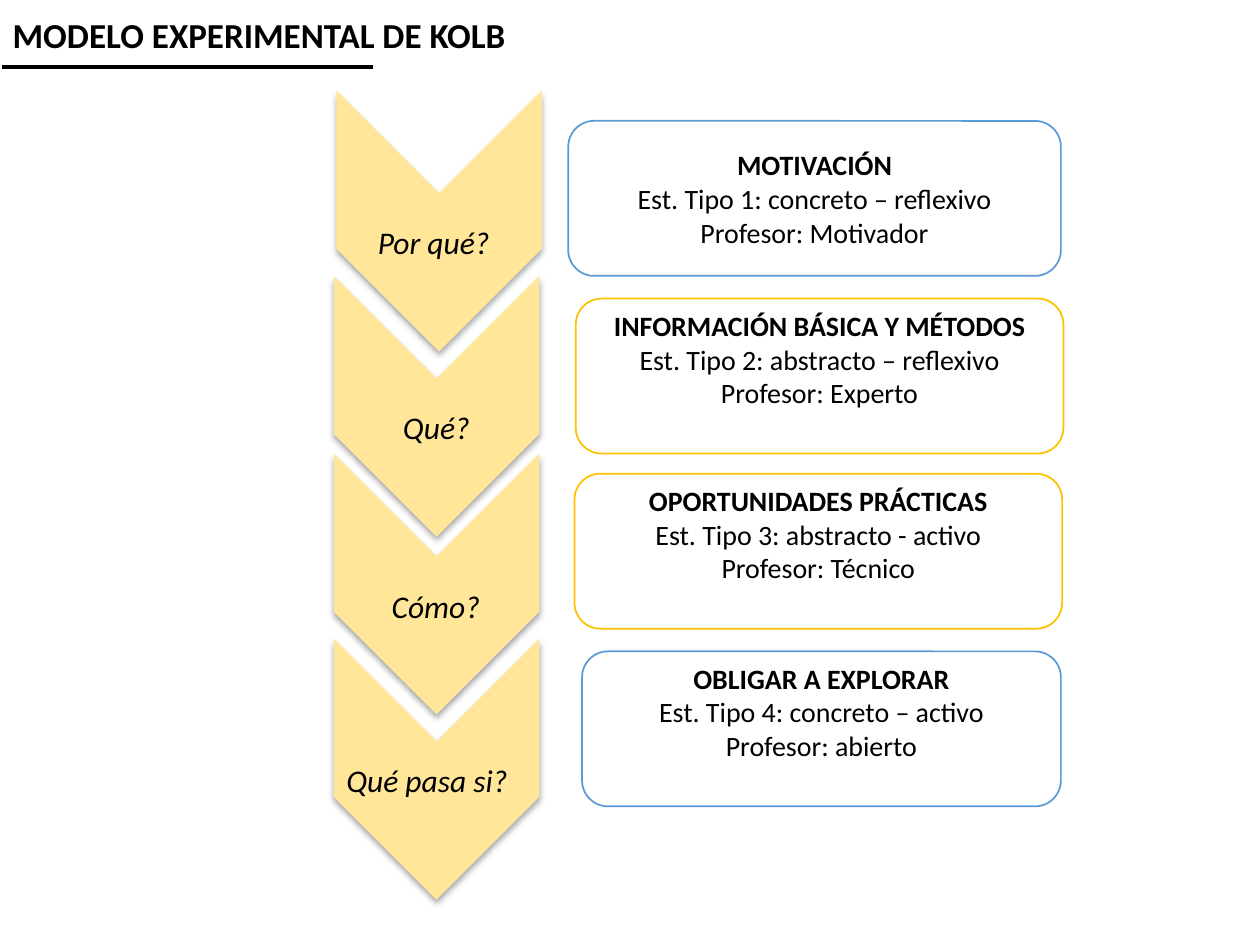
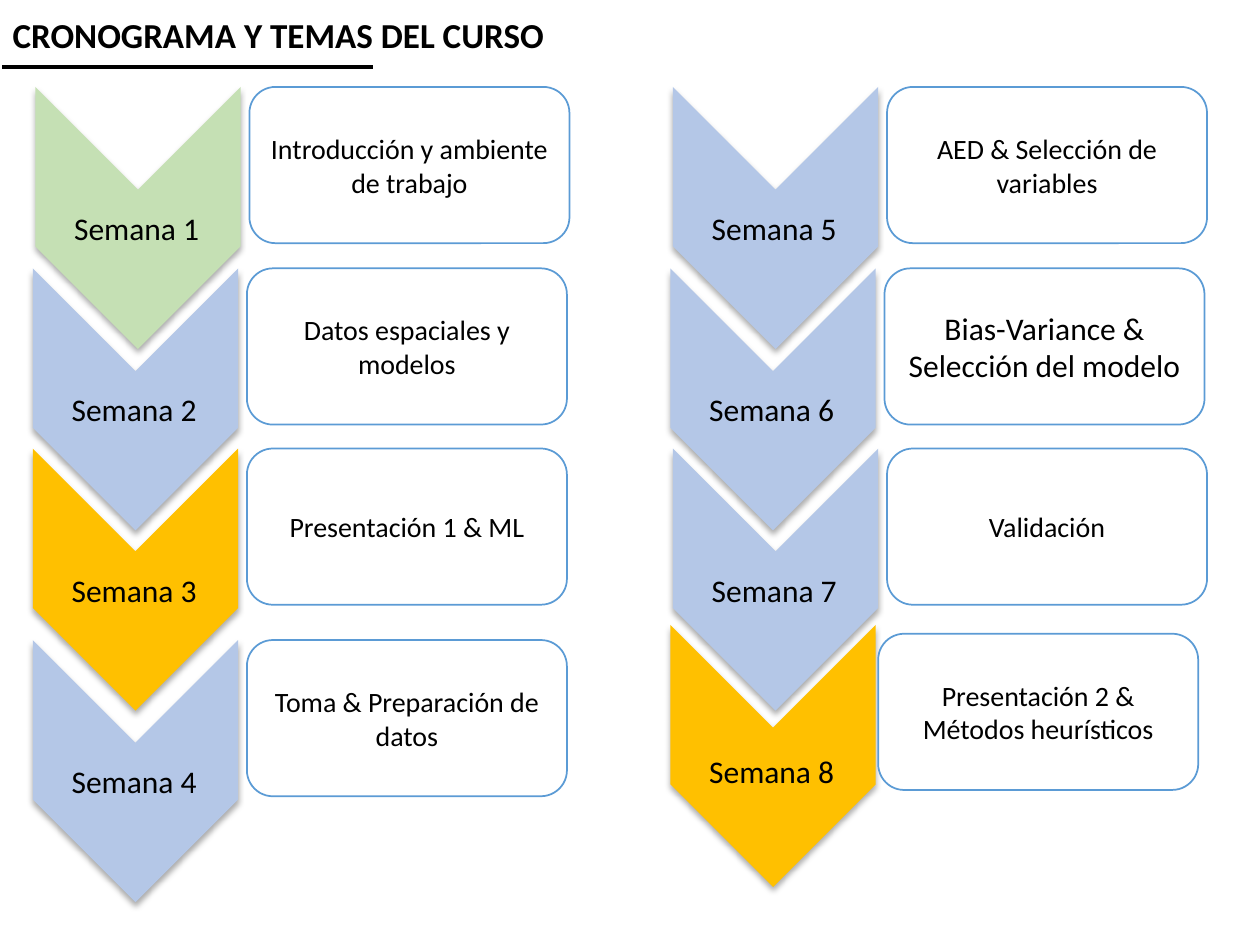
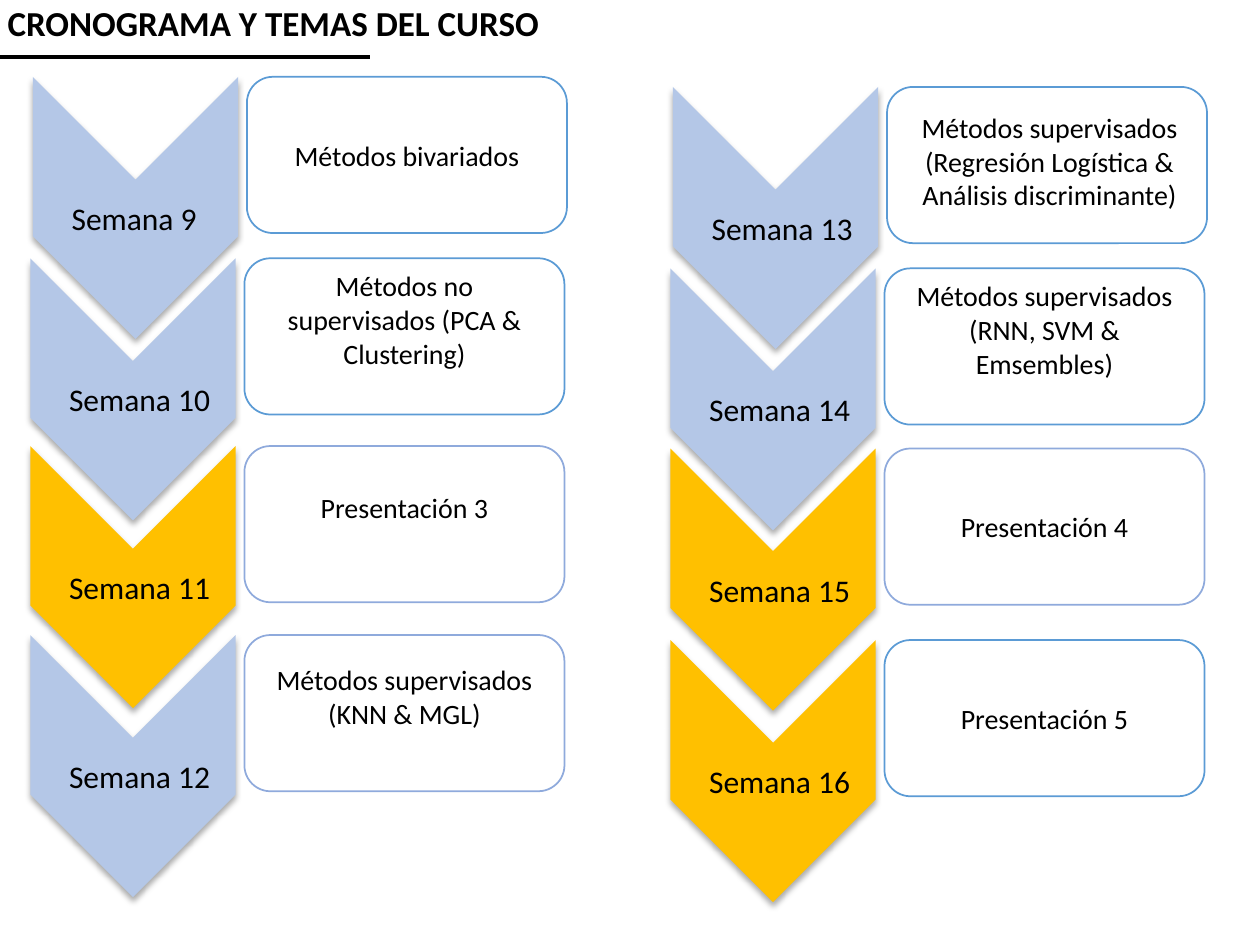
from dataclasses import dataclass

from lxml import etree
from pptx import Presentation
from pptx.dml.color import RGBColor
from pptx.enum.shapes import MSO_CONNECTOR, MSO_SHAPE
from pptx.enum.text import MSO_ANCHOR, MSO_AUTO_SIZE, PP_ALIGN
from pptx.oxml import parse_xml
from pptx.oxml.ns import qn
from pptx.util import Inches, Pt

COLORS = {
    "black": "000000",
    "white": "FFFFFF",
    "blue": "5B9BD5",
    "soft_blue": "8FAADC",
    "pale_blue": "B4C7E7",
    "green": "C5E0B4",
    "gold": "FFC000",
    "cream": "FFE699",
}
FONT = "Calibri"
CHEVRON_WIDTH = 1.63
STEP_CHEVRON_HEIGHT = 2.07
WEEK_CHEVRON_HEIGHT = 2.08
STEP_BOX_HEIGHT = 1.23
TOPIC_SIZE = (2.54, 1.24)
RAISED_INSET = 0.32  # bottom inset that lifts centred text by half a line

SHADOW = (
    '<a:outerShdw xmlns:a="http://schemas.openxmlformats.org/drawingml/2006/main"'
    ' blurRad="44450" dist="27940" dir="5400000" algn="ctr" rotWithShape="0">'
    '<a:srgbClr val="000000"><a:alpha val="32000"/></a:srgbClr></a:outerShdw>'
)


@dataclass
class Step:
    """One stage of the model; label_offset is measured from its chevron."""
    left: float
    top: float
    question: str
    label_offset: tuple
    label_width: float
    box: tuple  # left, top, width
    line: str
    lines: tuple
    raised: bool = True


@dataclass
class Week:
    """One week of the schedule; the shifts move parts off their usual place."""
    left: float
    top: float
    number: int
    topic: str
    fill: str = "pale_blue"
    line: str = "blue"
    size: int = 16
    raised: bool = False
    label_shift: float = 0
    topic_shift: tuple = (0, 0)


STEPS = [
    Step(2.67, 0.72, "Por qué?", (0.23, 1.0), 1.12, (4.51, 0.96, 3.91), "blue",
         ("MOTIVACIÓN", "Est. Tipo 1: concreto – reflexivo", "Profesor: Motivador"),
         raised=False),
    Step(2.65, 2.19, "Qué?", (0.45, 1.0), 0.74, (4.57, 2.37, 3.87), "gold",
         ("INFORMACIÓN BÁSICA Y MÉTODOS", "Est. Tipo 2: abstracto – reflexivo",
          "Profesor: Experto")),
    Step(2.65, 3.6, "Cómo?", (0.36, 1.01), 0.91, (4.56, 3.76, 3.87), "gold",
         ("OPORTUNIDADES PRÁCTICAS", "Est. Tipo 3: abstracto - activo",
          "Profesor: Técnico")),
    Step(2.65, 5.07, "Qué pasa si?", (0, 0.92), 1.5, (4.62, 5.17, 3.8), "blue",
         ("OBLIGAR A EXPLORAR", "Est. Tipo 4: concreto – activo", "Profesor: abierto")),
]

FIRST_HALF = [
    Week(0.28, 0.69, 1, "Introducción y ambiente de trabajo", "green"),
    Week(0.26, 2.13, 2, "Datos espaciales y modelos"),
    Week(0.26, 3.56, 3, "Presentación 1 & ML", "gold"),
    Week(0.26, 5.08, 4, "Toma & Preparación de datos"),
    Week(5.34, 0.69, 5, "AED & Selección de variables"),
    Week(5.32, 2.13, 6, "Bias-Variance & Selección del modelo", size=18),
    Week(5.34, 3.56, 7, "Validación"),
    Week(5.32, 4.96, 8, "Presentación 2 & Métodos heurísticos", "gold",
         label_shift=0.04, topic_shift=(-0.05, 0.07)),
]

SECOND_HALF = [
    Week(0.26, 0.61, 9, "Métodos bivariados"),
    Week(0.24, 2.05, 10, "Métodos no supervisados (PCA & Clustering)", raised=True),
    Week(0.24, 3.54, 11, "Presentación 3", "gold", "soft_blue", raised=True),
    Week(0.24, 5.04, 12, "Métodos supervisados (KNN & MGL)", line="soft_blue",
         raised=True),
    Week(5.34, 0.69, 13, ""),
    Week(5.32, 2.13, 14, "Métodos supervisados (RNN, SVM & Emsembles)", raised=True),
    Week(5.32, 3.56, 15, "Presentación 4", "gold", "soft_blue"),
    Week(5.32, 5.08, 16, "Presentación 5", "gold"),
]


def color(name):
    return RGBColor.from_string(COLORS[name])


def write_lines(frame, lines, size, align=PP_ALIGN.LEFT, bold_first=False, italic=False):
    for index, line in enumerate(lines):
        para = frame.paragraphs[0] if index == 0 else frame.add_paragraph()
        para.text = line
        para.alignment = align
        para.font.name = FONT
        para.font.size = Pt(size)
        para.font.bold = bold_first and index == 0
        para.font.italic = italic
        para.font.color.rgb = color("black")


def add_title(page, text, left, top, width, rule_left, rule_top):
    title = page.shapes.title
    title.left, title.top = Inches(left), Inches(top)
    title.width, title.height = Inches(width), Inches(0.44)
    frame = title.text_frame
    frame.word_wrap = False
    frame.auto_size = MSO_AUTO_SIZE.SHAPE_TO_FIT_TEXT
    frame.vertical_anchor = MSO_ANCHOR.TOP
    write_lines(frame, [text], 20, bold_first=True)

    rule = page.shapes.add_connector(
        MSO_CONNECTOR.STRAIGHT, Inches(rule_left), Inches(rule_top),
        Inches(rule_left + 2.94), Inches(rule_top))
    rule.line.color.rgb = color("black")
    rule.line.width = Pt(2.25)
    etree.SubElement(rule._element.spPr, qn("a:effectLst"))


def add_chevron(shapes, left, top, height, fill):
    """Place a downward chevron whose visible box starts at left, top."""
    turn = (height - CHEVRON_WIDTH) / 2
    chevron = shapes.add_shape(
        MSO_SHAPE.CHEVRON, Inches(left - turn), Inches(top + turn),
        Inches(height), Inches(CHEVRON_WIDTH))
    chevron.rotation = 90
    chevron.fill.solid()
    chevron.fill.fore_color.rgb = color(fill)
    chevron.line.fill.background()
    chevron.shadow.inherit = False
    chevron._element.spPr.find(qn("a:effectLst")).append(parse_xml(SHADOW))


def add_label(shapes, left, top, width, text, italic=False):
    label = shapes.add_textbox(Inches(left), Inches(top), Inches(width), Inches(0.4))
    label.text_frame.word_wrap = False
    label.text_frame.auto_size = MSO_AUTO_SIZE.SHAPE_TO_FIT_TEXT
    write_lines(label.text_frame, [text], 18, italic=italic)


def add_rounded_box(shapes, left, top, width, height, line, lines, size=16,
                    bold_first=False, raised=False):
    box = shapes.add_shape(MSO_SHAPE.ROUNDED_RECTANGLE, Inches(left), Inches(top),
                           Inches(width), Inches(height))
    box.shadow.inherit = False
    box.fill.solid()
    box.fill.fore_color.rgb = color("white")
    box.line.color.rgb = color(line)
    box.line.width = Pt(1)
    frame = box.text_frame
    frame.word_wrap = True
    frame.vertical_anchor = MSO_ANCHOR.MIDDLE
    if raised:
        frame.margin_bottom = Inches(RAISED_INSET)
    write_lines(frame, lines, size, PP_ALIGN.CENTER, bold_first)


def add_step(page, step):
    box_left, box_top, box_width = step.box
    add_rounded_box(page.shapes, box_left, box_top, box_width, STEP_BOX_HEIGHT,
                    step.line, step.lines, bold_first=True, raised=step.raised)
    add_chevron(page.shapes, step.left, step.top, STEP_CHEVRON_HEIGHT, "cream")
    label_x, label_y = step.label_offset
    add_label(page.shapes, step.left + label_x, step.top + label_y,
              step.label_width, step.question, italic=True)


def add_week(page, week):
    shapes = page.shapes.add_group_shape().shapes
    add_chevron(shapes, week.left, week.top, WEEK_CHEVRON_HEIGHT, week.fill)
    add_label(shapes, week.left + 0.21, week.top + 0.92 + week.label_shift,
              1.21 if week.number < 10 else 1.33, f"Semana {week.number}")
    shift_x, shift_y = week.topic_shift
    add_rounded_box(shapes, week.left + 1.7 + shift_x, week.top + shift_y, *TOPIC_SIZE,
                    week.line, [week.topic] if week.topic else [], week.size,
                    raised=week.raised)


def add_wide_topic(page, left, top, text):
    topic = page.shapes.add_textbox(Inches(left), Inches(top), Inches(2.8), Inches(0.91))
    topic.text_frame.word_wrap = True
    topic.text_frame.auto_size = MSO_AUTO_SIZE.SHAPE_TO_FIT_TEXT
    write_lines(topic.text_frame, [text], 16, PP_ALIGN.CENTER)


def add_page(deck):
    return deck.slides.add_slide(deck.slide_layouts.get_by_name("Title Only"))


def build_model(deck):
    page = add_page(deck)
    add_title(page, "MODELO EXPERIMENTAL DE KOLB", 0, 0.06, 4.15, 0.02, 0.53)
    for step in STEPS:
        add_step(page, step)


def build_schedule(deck, weeks, title_left, title_top, rule_left, rule_top):
    page = add_page(deck)
    add_title(page, "CRONOGRAMA Y TEMAS DEL CURSO", title_left, title_top, 4.52,
              rule_left, rule_top)
    for week in weeks:
        add_week(page, week)
    return page


def main():
    deck = Presentation()
    deck.slide_width, deck.slide_height = Inches(10), Inches(7.5)
    build_model(deck)
    build_schedule(deck, FIRST_HALF, 0, 0.06, 0.02, 0.53)
    page = build_schedule(deck, SECOND_HALF, -0.04, -0.04, 0, 0.45)
    add_wide_topic(page, 6.93, 0.83,
                   "Métodos supervisados (Regresión Logística & Análisis discriminante)")
    deck.save("out.pptx")


if __name__ == "__main__":
    main()
